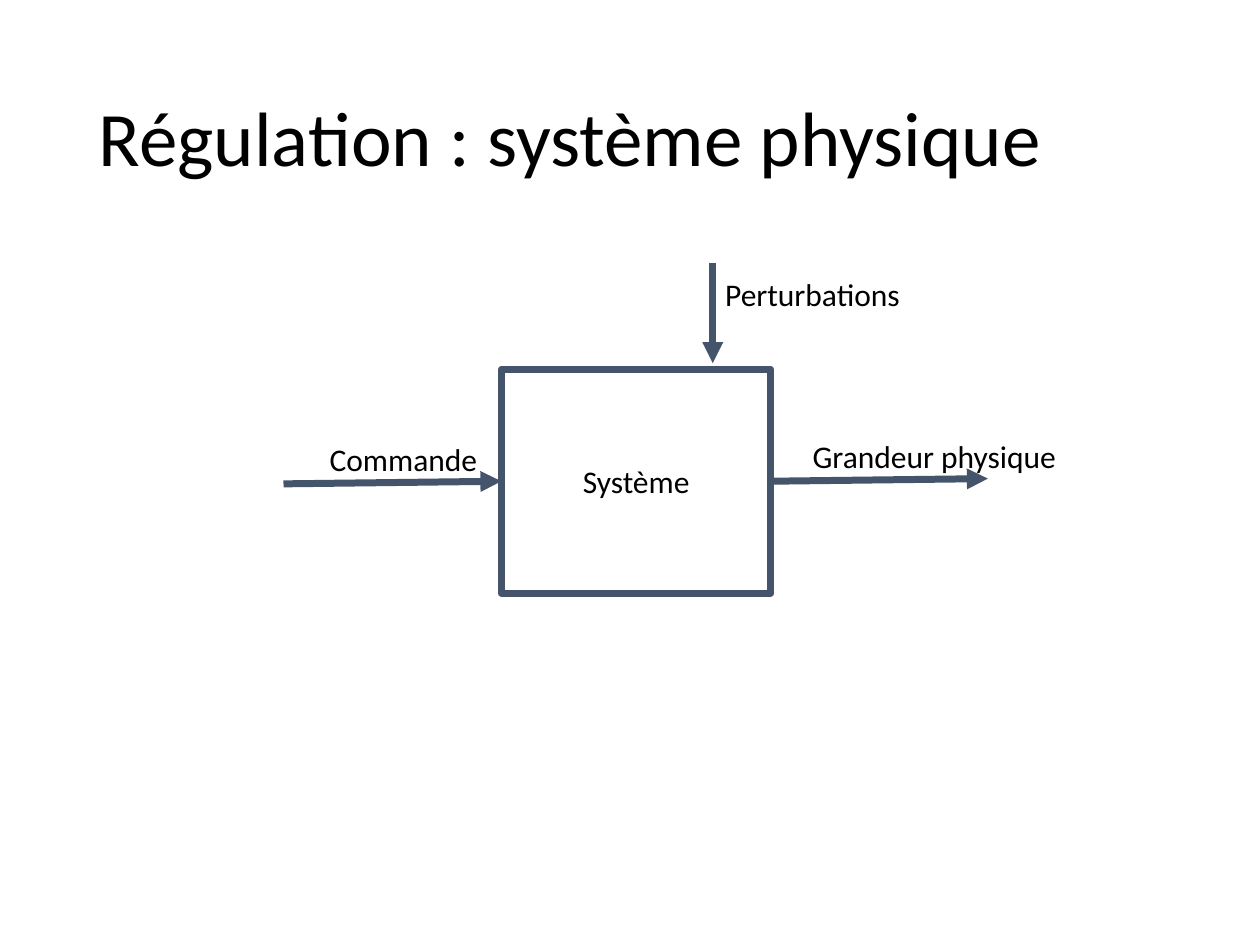
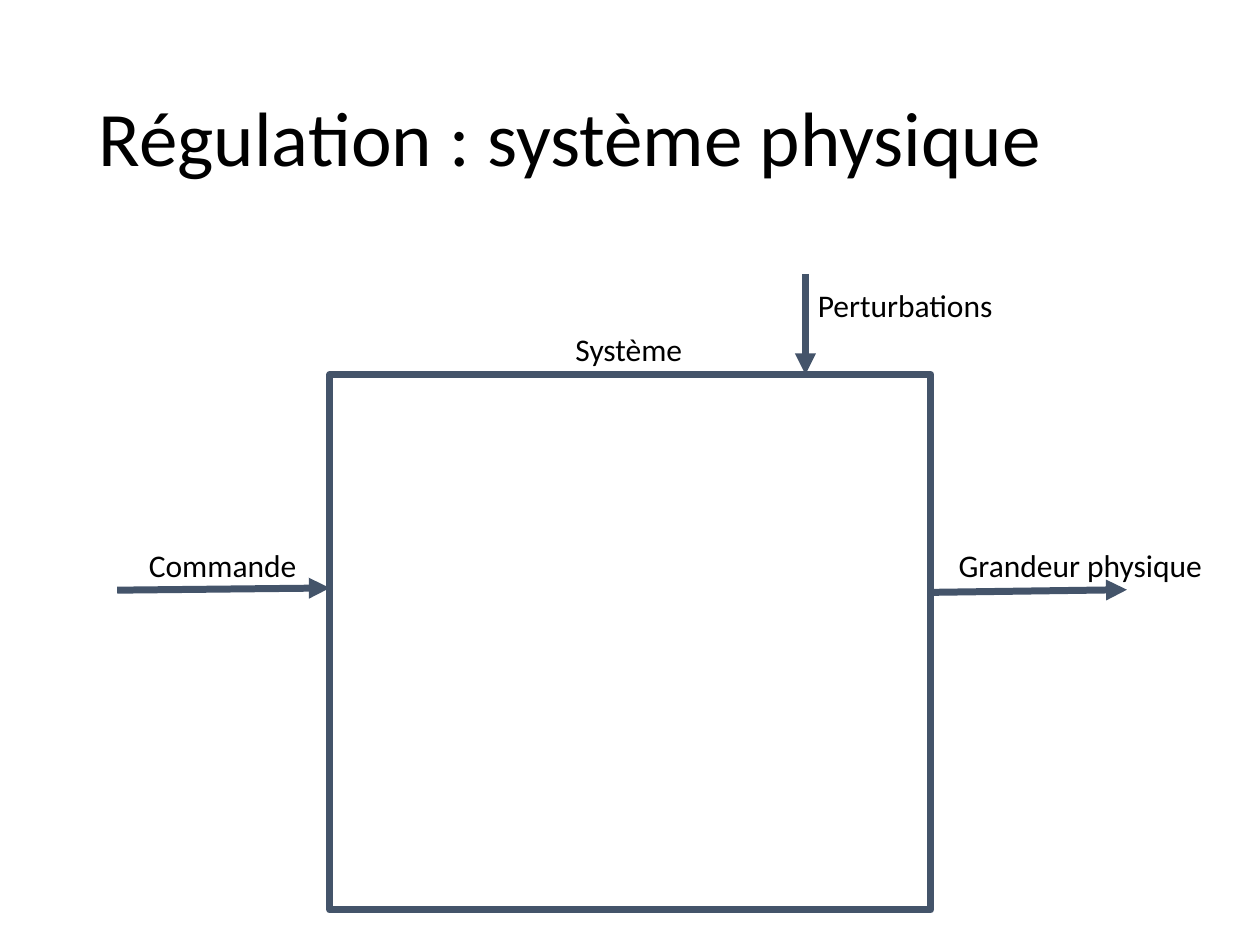
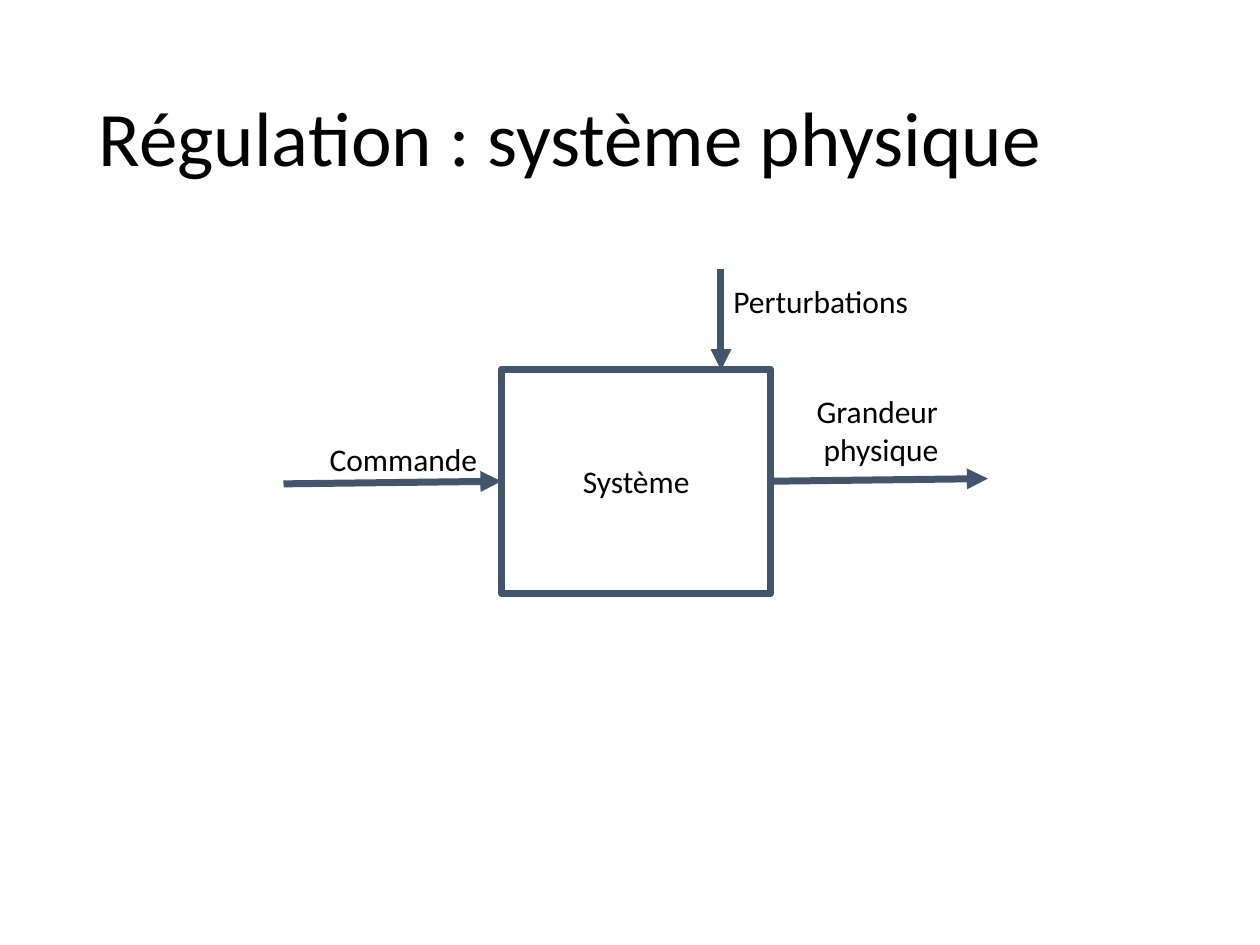
import dataclasses

import lxml.etree
import pptx
import pptx.dml.color
import pptx.enum.shapes
import pptx.enum.text
import pptx.oxml.ns
import pptx.shapes.autoshape
import pptx.slide
import pptx.text.text
import pptx.util

Pt = pptx.util.Pt
Align = pptx.enum.text.PP_ALIGN
Anchor = pptx.enum.text.MSO_ANCHOR
Fit = pptx.enum.text.MSO_AUTO_SIZE

BLACK = pptx.dml.color.RGBColor(0x00, 0x00, 0x00)
SLATE = pptx.dml.color.RGBColor(0x44, 0x54, 0x6A)
WHITE = pptx.dml.color.RGBColor(0xFF, 0xFF, 0xFF)
FONT = "Calibri"
STROKE = 4
TITLE = "Régulation : système physique"
SYSTEM = "Système"


@dataclasses.dataclass(frozen=True)
class Area:
    """A rectangle in points."""
    left: float
    top: float
    width: float
    height: float

    def place(self) -> tuple:
        """Return the rectangle as lengths."""
        return Pt(self.left), Pt(self.top), Pt(self.width), Pt(self.height)


@dataclasses.dataclass(frozen=True)
class Arrow:
    """An arrow from its start to its tip."""
    left: float
    top: float
    right: float
    bottom: float


@dataclasses.dataclass(frozen=True)
class Label:
    """A caption and the area it fills."""
    text: str
    left: float
    top: float
    width: float
    height: float = 29


@dataclasses.dataclass(frozen=True)
class Scheme:
    """One system block with its signals."""
    block: Area
    inner: str
    arrows: tuple
    labels: tuple


HEAD = Area(49.5, 28.75, 621, 104.4)
BLOCK = Area(286.5, 211, 154, 128)
ORDER = Arrow(162, 276.5, 286.5, 275)
RESULT = Arrow(440, 275, 564.5, 273.5)


def command(left: float, top: float) -> Label:
    """Name the control signal."""
    return Label("Commande", left, top, 100)


def output(left: float, top: float) -> Label:
    """Name the output signal on one line."""
    return Label("Grandeur physique", left, top, 155.5)


def noise(left: float, top: float) -> Label:
    """Name the disturbance, whose arrow runs down the left edge."""
    return Label("Perturbations", left, top, 115.2)


SCHEMES = (
    Scheme(BLOCK, SYSTEM,
           (ORDER, RESULT, Arrow(407.3, 150.5, 407.3, 207.5)),
           (command(181.3, 248), output(457.3, 246), noise(407.3, 153.6))),
    Scheme(Area(188.5, 214, 343.5, 306), "",
           (Arrow(67, 337.25, 188.5, 336), Arrow(532.5, 338.5, 644, 337),
            Arrow(460.25, 156.5, 460.25, 214)),
           (command(78, 308.5), output(540.75, 308.5),
            Label(SYSTEM, 321.75, 185.25, 76.3), noise(460.25, 160))),
    Scheme(BLOCK, SYSTEM,
           (ORDER, RESULT, Arrow(412, 154, 412, 211.5)),
           (command(181.3, 248), Label("Grandeur\n physique", 459.5, 220.5, 85, 51),
            noise(412, 157.5))),
)


def write(frame: pptx.text.text.TextFrame, text: str, *, size: float = 18,
          align: Align = Align.LEFT, anchor: Anchor = Anchor.TOP,
          wrap: bool = True, fit: Fit = Fit.NONE, space: float = 1) -> None:
    """Put formatted text in a frame."""
    frame.word_wrap = wrap
    frame.auto_size = fit
    frame.vertical_anchor = anchor
    para = frame.paragraphs[0]
    para.text = text
    para.alignment = align
    para.line_spacing = space
    for run in para.runs:
        run.font.name = FONT
        run.font.size = Pt(size)
        run.font.color.rgb = BLACK


def draw_block(slide: pptx.slide.Slide, area: Area, inner: str) -> None:
    """Draw the outlined system block."""
    kind = pptx.enum.shapes.MSO_SHAPE.RECTANGLE
    shape = slide.shapes.add_shape(kind, *area.place())
    shape.shadow.inherit = False
    shape.fill.background()
    shape.line.color.rgb = SLATE
    shape.line.width = Pt(STROKE)
    if inner:
        write(shape.text_frame, inner, align=Align.CENTER, anchor=Anchor.MIDDLE)


def draw_arrow(slide: pptx.slide.Slide, arrow: Arrow) -> None:
    """Draw a straight line with a triangle at its tip."""
    kind = pptx.enum.shapes.MSO_CONNECTOR.STRAIGHT
    ends = map(Pt, dataclasses.astuple(arrow))
    link = slide.shapes.add_connector(kind, *ends)
    link.line.color.rgb = SLATE
    link.line.width = Pt(STROKE)
    name = pptx.oxml.ns.qn
    tip = lxml.etree.SubElement(link.line._get_or_add_ln(), name("a:tailEnd"))
    tip.set("type", "triangle")
    lxml.etree.SubElement(link._element.spPr, name("a:effectLst"))


def draw_label(slide: pptx.slide.Slide, label: Label) -> None:
    """Draw an unwrapped caption."""
    area = Area(label.left, label.top, label.width, label.height)
    box = slide.shapes.add_textbox(*area.place())
    write(box.text_frame, label.text, wrap=False, fit=Fit.SHAPE_TO_FIT_TEXT)


def draw_slide(deck: pptx.presentation.Presentation, scheme: Scheme) -> None:
    """Add a slide with the title and one scheme."""
    slide = deck.slides.add_slide(deck.slide_layouts[6])
    slide.background.fill.solid()
    slide.background.fill.fore_color.rgb = WHITE
    head = slide.shapes.add_textbox(*HEAD.place())
    write(head.text_frame, TITLE, size=44, anchor=Anchor.MIDDLE, space=0.9)
    draw_block(slide, scheme.block, scheme.inner)
    for arrow in scheme.arrows:
        draw_arrow(slide, arrow)
    for label in scheme.labels:
        draw_label(slide, label)


def main() -> None:
    """Build and save the deck."""
    deck = pptx.Presentation()
    deck.slide_width, deck.slide_height = Pt(720), Pt(540)
    for scheme in SCHEMES:
        draw_slide(deck, scheme)
    deck.save("out.pptx")


if __name__ == "__main__":
    main()
